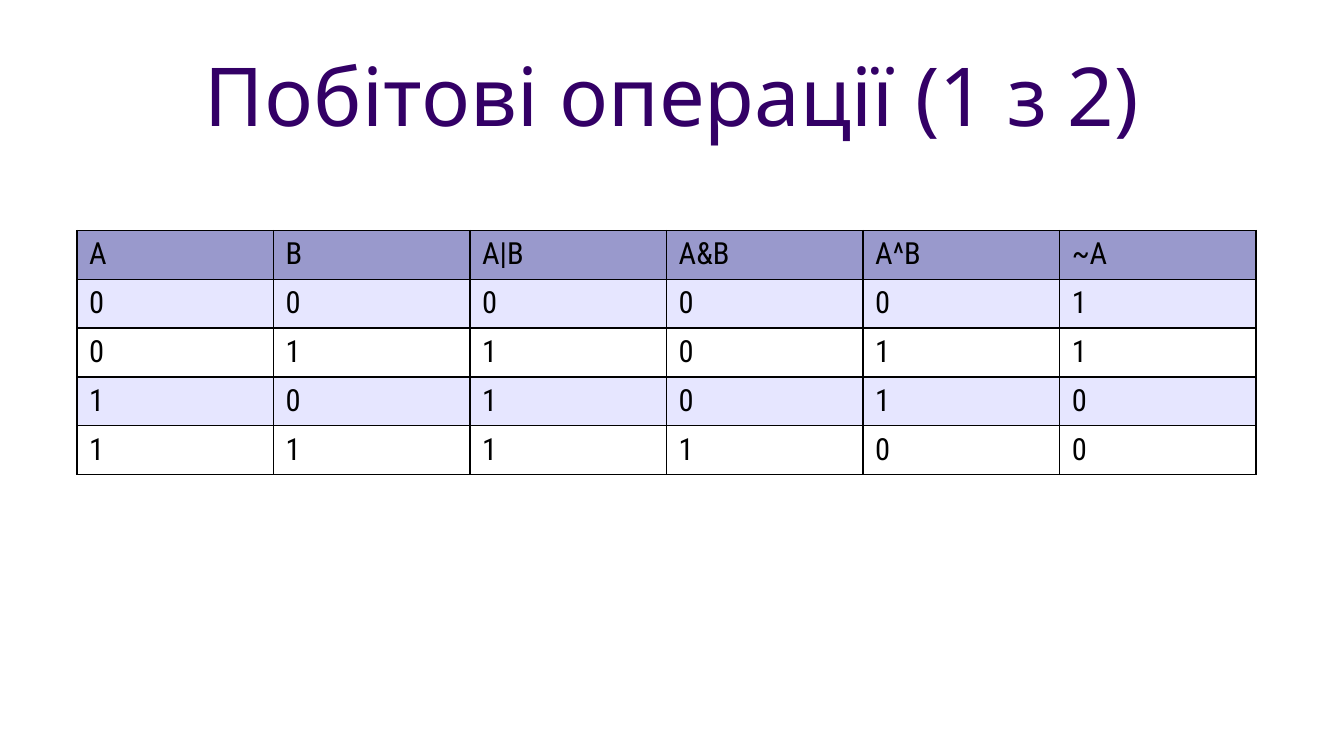
from itertools import product

from lxml import etree
from pptx import Presentation
from pptx.dml.color import RGBColor
from pptx.enum.text import MSO_ANCHOR, PP_ALIGN
from pptx.oxml.ns import qn
from pptx.util import Pt

CENTER = PP_ALIGN.CENTER
MIDDLE = MSO_ANCHOR.MIDDLE

PURPLE = RGBColor(0x33, 0x00, 0x66)
BLACK = RGBColor(0x00, 0x00, 0x00)
WHITE = RGBColor(0xFF, 0xFF, 0xFF)
HEADER_FILL = RGBColor(0x99, 0x99, 0xCC)
BAND_FILL = RGBColor(0xE6, 0xE6, 0xFF)


class SlideBuilder:
    title_font, title_size = "Noto Sans", 48
    table_font, table_size = "Roboto Condensed", 18
    border_width = 1

    def __init__(self, slide):
        self.slide = slide

    def format_runs(self, paragraph, font, size, color):
        for run in paragraph.runs:
            run.font.name = font
            run.font.size = Pt(size)
            run.font.color.rgb = color

    def add_title(self, text, left, top, width, height):
        shape = self.slide.shapes.add_textbox(Pt(left), Pt(top), Pt(width), Pt(height))
        text_frame = shape.text_frame
        text_frame.text = text
        text_frame.word_wrap = True
        text_frame.vertical_anchor = MIDDLE
        text_frame.margin_left = text_frame.margin_right = 0
        text_frame.margin_top = text_frame.margin_bottom = 0
        paragraph = text_frame.paragraphs[0]
        paragraph.alignment = CENTER
        self.format_runs(paragraph, self.title_font, self.title_size, PURPLE)

    def add_table(self, rows, left, top, column_width, row_height):
        row_count, column_count = len(rows), len(rows[0])
        table = self.slide.shapes.add_table(
            row_count, column_count, Pt(left), Pt(top),
            Pt(column_width * column_count), Pt(row_height * row_count)).table
        for column in table.columns:
            column.width = Pt(column_width)
        for row in table.rows:
            row.height = Pt(row_height)
        for row_index, values in enumerate(rows):
            if row_index == 0:
                fill = HEADER_FILL
            else:
                fill = BAND_FILL if row_index % 2 else WHITE
            for column_index, value in enumerate(values):
                self.fill_cell(table.cell(row_index, column_index), str(value), fill)

    def fill_cell(self, cell, text, fill):
        cell.text_frame.text = text
        self.format_runs(cell.text_frame.paragraphs[0],
                         self.table_font, self.table_size, BLACK)
        self.add_borders(cell)
        cell.fill.solid()
        cell.fill.fore_color.rgb = fill

    def add_borders(self, cell):
        properties = cell._tc.get_or_add_tcPr()
        for side in ("a:lnL", "a:lnR", "a:lnT", "a:lnB"):
            line = etree.SubElement(properties, qn(side), w=str(Pt(self.border_width)))
            solid_fill = etree.SubElement(line, qn("a:solidFill"))
            etree.SubElement(solid_fill, qn("a:srgbClr"), val=str(BLACK))


presentation = Presentation()
presentation.slide_width = Pt(793.44)
presentation.slide_height = Pt(446.4)
blank_layout = presentation.slide_layouts[6]
builder = SlideBuilder(presentation.slides.add_slide(blank_layout))

# Title
builder.add_title("Побітові операції (1 з 2)", 39.6, 18, 714.24, 74.88)

# Truth table of the bitwise operators
header = ("A", "B", "A|B", "A&B", "A^B", "~A")
truth_rows = [(a, b, a | b, a & b, a ^ b, 1 - a) for a, b in product((0, 1), repeat=2)]
builder.add_table([header, *truth_rows], left=45.4, top=136.1,
                  column_width=116.04, row_height=28.65)

presentation.save("out.pptx")
